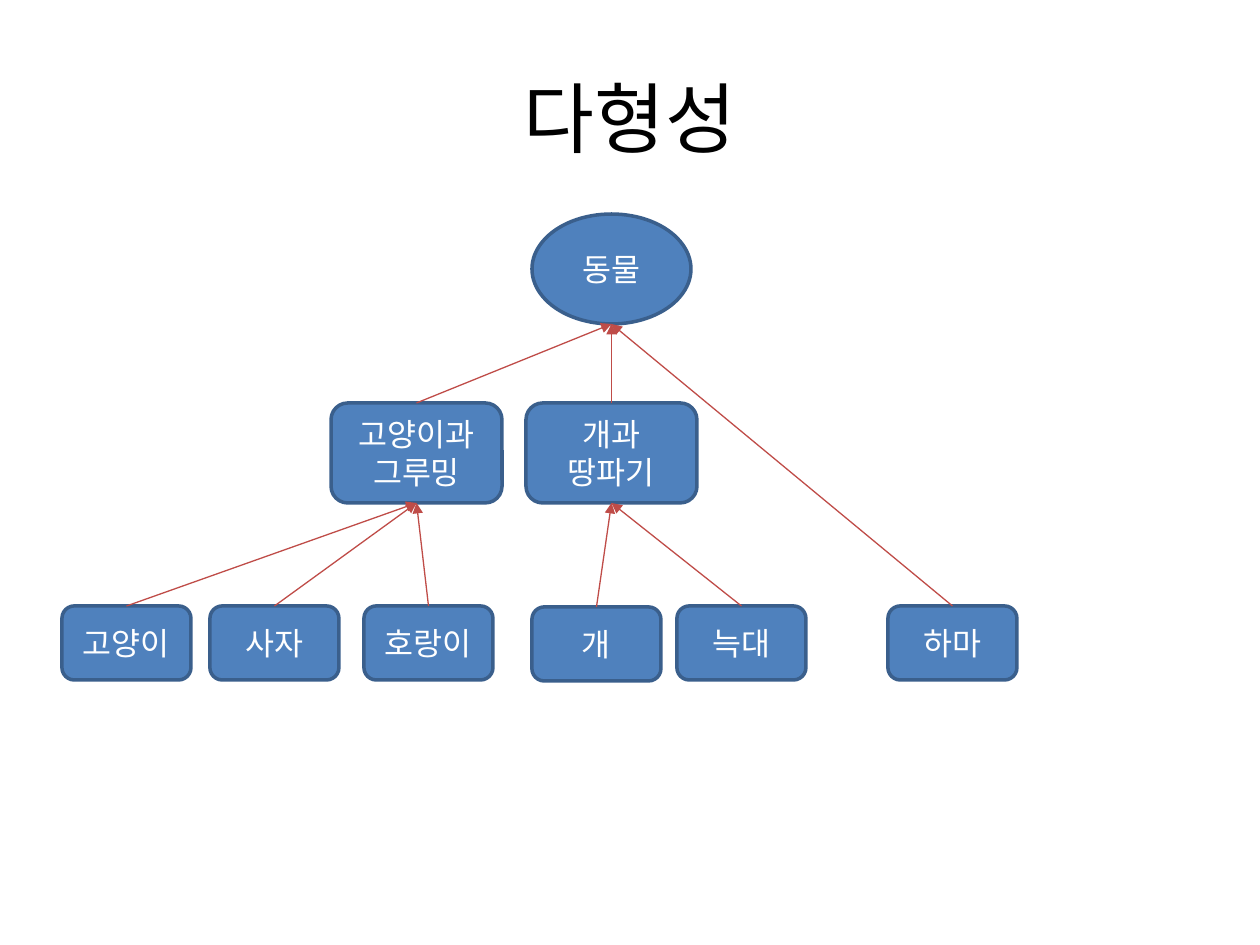
from pptx import Presentation
from pptx import util as u
from pptx.dml import color
from pptx.enum import shapes, text
from pptx.oxml.ns import qn
from lxml import etree

FONT = "Noto Sans CJK KR"
EMU_PER_PX = 914400 / 126
TOP, BOTTOM = 0, 2
CATS, DOGS = "고양이과\n그루밍", "개과\n땅파기"
FAMILIES = {CATS: 331, DOGS: 526}
SPECIES = {
    "고양이": (62, 606, CATS),
    "사자": (210, 606, CATS),
    "호랑이": (364, 606, CATS),
    "개": (532, 607, DOGS),
    "늑대": (677, 606, DOGS),
    "하마": (888, 606, None),
}


def px(length):
    """Turn pixels into EMU."""
    return u.Emu(round(length * EMU_PER_PX))


def rgb(value):
    """Turn a hex string into a colour."""
    return color.RGBColor.from_string(value)


def write(frame, wording, size, ink):
    """Write centred paragraphs, one for each line of wording."""
    frame.word_wrap = True
    frame.vertical_anchor = text.MSO_ANCHOR.MIDDLE
    frame.text = wording
    for paragraph in frame.paragraphs:
        paragraph.alignment = text.PP_ALIGN.CENTER
        for run in paragraph.runs:
            for name, value in {"size": u.Pt(size), "name": FONT}.items():
                setattr(run.font, name, value)
            run.font.color.rgb = rgb(ink)
            east_asian = etree.SubElement(run.font._element, qn("a:ea"))
            east_asian.set("typeface", FONT)


def add_title(slide, wording):
    """Place and format the title placeholder."""
    title = slide.shapes.title
    place = {"left": 63, "top": 38, "width": 1134, "height": 157}
    for name, value in place.items():
        setattr(title, name, px(value))
    write(title.text_frame, wording, 44, "000000")


def add_node(slide, kind, wording, *place):
    """Add one class of the hierarchy."""
    node = slide.shapes.add_shape(kind, *map(px, place))
    node.shadow.inherit = False
    node.fill.solid()
    node.fill.fore_color.rgb = rgb("4F81BD")
    node.line.color.rgb = rgb("3A5F8C")
    node.line.width = u.Pt(2)
    write(node.text_frame, wording, 18, "FFFFFF")
    return node


def add_arrow(slide, child, parent):
    """Point an arrow from the child's top to the parent's bottom."""
    arrow = slide.shapes.add_connector(
        shapes.MSO_CONNECTOR.STRAIGHT,
        child.left + child.width // 2, child.top,
        parent.left + parent.width // 2, parent.top + parent.height,
    )
    arrow.begin_connect(child, TOP)
    if parent.auto_shape_type == shapes.MSO_SHAPE.ROUNDED_RECTANGLE:
        arrow.end_connect(parent, BOTTOM)
    arrow.line.color.rgb = rgb("BF4C48")
    arrow.line.width = u.Pt(0.75)
    etree.SubElement(arrow.line._get_or_add_ln(), qn("a:tailEnd")).set("type", "triangle")
    etree.SubElement(arrow._element.spPr, qn("a:effectLst"))


def main():
    """Build the class hierarchy slide."""
    deck = Presentation()
    deck.slide_width, deck.slide_height = px(1260), px(945)
    slide = deck.slides.add_slide(deck.slide_layouts[5])
    add_title(slide, "다형성")

    box = shapes.MSO_SHAPE.ROUNDED_RECTANGLE
    animal = add_node(slide, shapes.MSO_SHAPE.OVAL, "동물", 532, 214, 159, 110)
    families = {}
    for wording, left in FAMILIES.items():
        families[wording] = add_node(slide, box, wording, left, 403, 171, 100)
        add_arrow(slide, families[wording], animal)
    for wording, (left, top, family) in SPECIES.items():
        animal_kind = add_node(slide, box, wording, left, top, 129, 74)
        add_arrow(slide, animal_kind, families.get(family, animal))

    deck.save("out.pptx")


if __name__ == "__main__":
    main()
